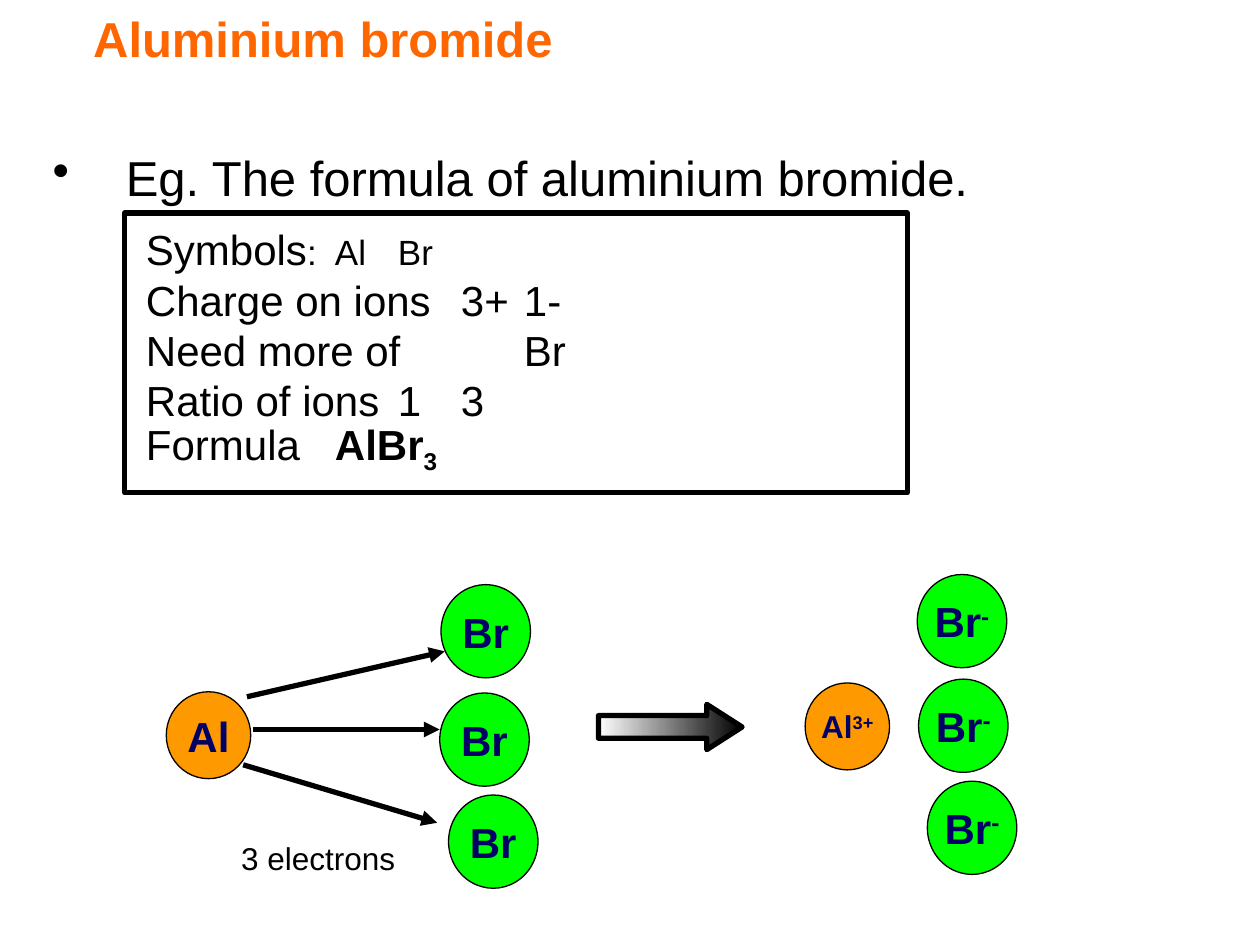
from dataclasses import dataclass

import pptx
import pptx.dml.color
import pptx.enum.shapes
import pptx.enum.text
import pptx.oxml.ns
import pptx.util
from lxml import etree

Inches, Pt = pptx.util.Inches, pptx.util.Pt
SHAPE = pptx.enum.shapes.MSO_SHAPE
ALIGN = pptx.enum.text.PP_ALIGN
ANCHOR = pptx.enum.text.MSO_ANCHOR
qn = pptx.oxml.ns.qn

FONT = "Arial"
COLORS = {
    "title": "FF6600", "text": "000000", "paper": "FFFFFF",
    "ion_text": "000066", "aluminium": "FF9900", "bromine": "00FF00",
}


@dataclass
class Atom:
    symbol: str
    x: float
    y: float
    size: int = 24
    charge: str = ""


@dataclass
class Arrow:
    x1: float
    y1: float
    x2: float
    y2: float


@dataclass
class Row:
    text: str
    tabs: tuple = (2, 4)
    bold: str = ""
    subscript: str = ""


ATOMS = [
    Atom("Al", 1.32, 5.49),
    Atom("Br", 3.5, 4.64), Atom("Br", 3.49, 5.5), Atom("Br", 3.56, 6.31),
    Atom("Al", 6.39, 5.42, 18, "3+"),
    Atom("Br", 7.28, 4.56, charge="-"),
    Atom("Br", 7.29, 5.39, charge="-"),
    Atom("Br", 7.36, 6.2, charge="-"),
]
ARROWS = [
    Arrow(1.96, 5.53, 3.53, 5.17),
    Arrow(2.01, 5.79, 3.49, 5.79),
    Arrow(1.93, 6.07, 3.47, 6.53),
]
ROWS = [
    Row("Symbols"),
    Row("Charge on ions\t3+\t1-"),
    Row("Need more of\t\tBr"),
    Row("Ratio of ions\t1\t3"),
    Row("Formula\t", (2.56,), "AlBr", "3"),
]


def rgb(name: str) -> pptx.dml.color.RGBColor:
    return pptx.dml.color.RGBColor.from_string(COLORS[name])


def add_run(p, text: str, size: float, color: str = "text",
            bold: bool = False, baseline: int = 0) -> None:
    r = p.add_run()
    r.text = text
    r.font.name, r.font.size, r.font.bold = FONT, Pt(size), bold
    r.font.color.rgb = rgb(color)
    if baseline:
        r.font._element.set("baseline", str(baseline * 1000))


def add_box(s, x: float, y: float, w: float, h: float):
    tf = s.shapes.add_textbox(Inches(x), Inches(y), Inches(w), Inches(h)).text_frame
    tf.word_wrap = True
    return tf


def add_shape(s, kind, x: float, y: float, w: float, h: float,
              fill: str, line: float):
    sp = s.shapes.add_shape(kind, Inches(x), Inches(y), Inches(w), Inches(h))
    sp.shadow.inherit = False
    sp.fill.solid()
    sp.fill.fore_color.rgb = rgb(fill)
    sp.line.color.rgb = rgb("text")
    sp.line.width = Pt(line)
    return sp


def set_indent(p, left: float, hanging: float, bullet: str = "", tabs=()) -> None:
    pPr = p._p.get_or_add_pPr()
    pPr.set("marL", str(Inches(left)))
    pPr.set("indent", str(-Inches(hanging)))
    if bullet:
        etree.SubElement(pPr, qn("a:buChar"), char=bullet)
    else:
        etree.SubElement(pPr, qn("a:buNone"))
    if tabs:
        tab_list = etree.SubElement(pPr, qn("a:tabLst"))
        for pos in tabs:
            etree.SubElement(tab_list, qn("a:tab"), pos=str(Inches(pos)), algn="l")


def add_atom(s, atom: Atom) -> None:
    is_al = atom.symbol == "Al"
    w, h = (0.67, 0.69) if is_al else (0.71, 0.74)
    sp = add_shape(s, SHAPE.OVAL, atom.x, atom.y, w, h,
                   "aluminium" if is_al else "bromine", 0.75)
    tf = sp.text_frame
    tf.word_wrap = False
    tf.vertical_anchor = ANCHOR.MIDDLE
    p = tf.paragraphs[0]
    p.alignment = ALIGN.CENTER
    add_run(p, atom.symbol, atom.size, "ion_text", True)
    if atom.charge:
        add_run(p, atom.charge, atom.size, "ion_text", True, 30)


def add_arrow(s, arrow: Arrow) -> None:
    c = s.shapes.add_connector(
        pptx.enum.shapes.MSO_CONNECTOR.STRAIGHT,
        Inches(arrow.x1), Inches(arrow.y1), Inches(arrow.x2), Inches(arrow.y2))
    c.line.color.rgb = rgb("text")
    c.line.width = Pt(3)
    etree.SubElement(c.line._get_or_add_ln(), qn("a:tailEnd"), type="triangle")
    etree.SubElement(c._element.spPr, qn("a:effectLst"))


def add_rows(tf) -> None:
    for i, row in enumerate(ROWS):
        p = tf.add_paragraph()
        set_indent(p, 1.24, 0.5, tabs=row.tabs)
        p.line_spacing = Pt(28.8)
        p.space_before = Pt(0 if i else 10)
        add_run(p, row.text, 24)
        if i == 0:
            add_run(p, ":\tAl\tBr", 20)
        if row.bold:
            add_run(p, row.bold, 24, bold=True)
            add_run(p, row.subscript, 24, bold=True, baseline=-25)


def main() -> None:
    prs = pptx.Presentation()
    prs.slide_width, prs.slide_height = Inches(10), Inches(7.5)
    s = prs.slides.add_slide(prs.slide_layouts[6])

    # Title
    tf = add_box(s, 0, 0.02, 8.54, 0.57)
    tf.margin_left = Inches(0.74)
    tf.vertical_anchor = ANCHOR.MIDDLE
    add_run(tf.paragraphs[0], "Aluminium bromide", 28, "title", True)

    # Framed working with its heading
    add_shape(s, SHAPE.RECTANGLE, 0.99, 1.69, 6.21, 2.22, "paper", 3)
    tf = add_box(s, 0.32, 1.07, 8.94, 3.1)
    tf.margin_top = Inches(0.1)
    p = tf.paragraphs[0]
    set_indent(p, 0.58, 0.58, "•")
    add_run(p, "Eg. The formula of aluminium bromide.", 28)
    add_rows(tf)

    # Reaction arrow, fading from white to black
    sp = add_shape(s, SHAPE.RIGHT_ARROW, 4.75, 5.59, 1.14, 0.36, "paper", 3)
    sp.adjustments[1] = 0.78
    sp.fill.gradient()
    sp.fill.gradient_angle = 0
    for stop, color, pos in zip(sp.fill.gradient_stops, ("paper", "text"), (0, 1)):
        stop.color.rgb = rgb(color)
        stop.position = pos

    # Atoms, ions and electron transfer
    for atom in ATOMS:
        add_atom(s, atom)
    for arrow in ARROWS:
        add_arrow(s, arrow)
    p = add_box(s, 1.67, 6.61, 1.71, 0.4).paragraphs[0]
    p.alignment = ALIGN.CENTER
    add_run(p, "3 electrons", 18)

    prs.save("out.pptx")


if __name__ == "__main__":
    main()
